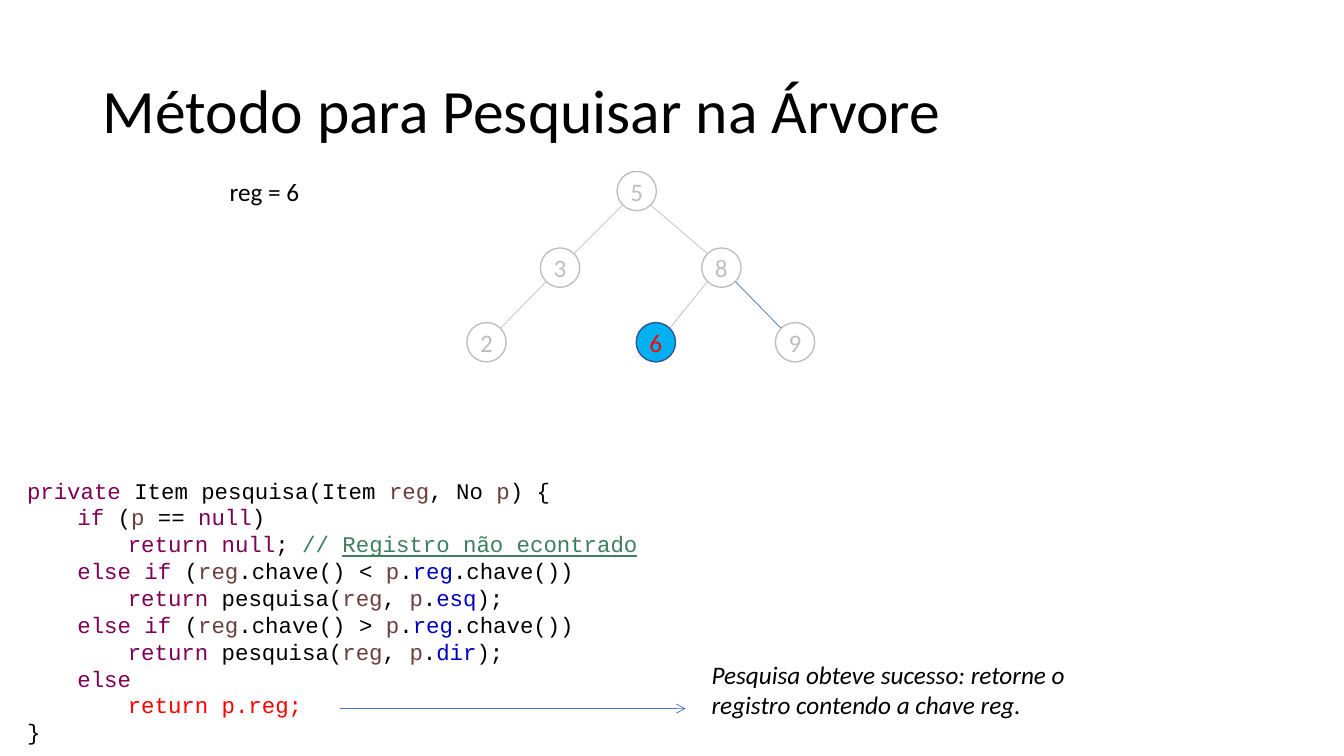
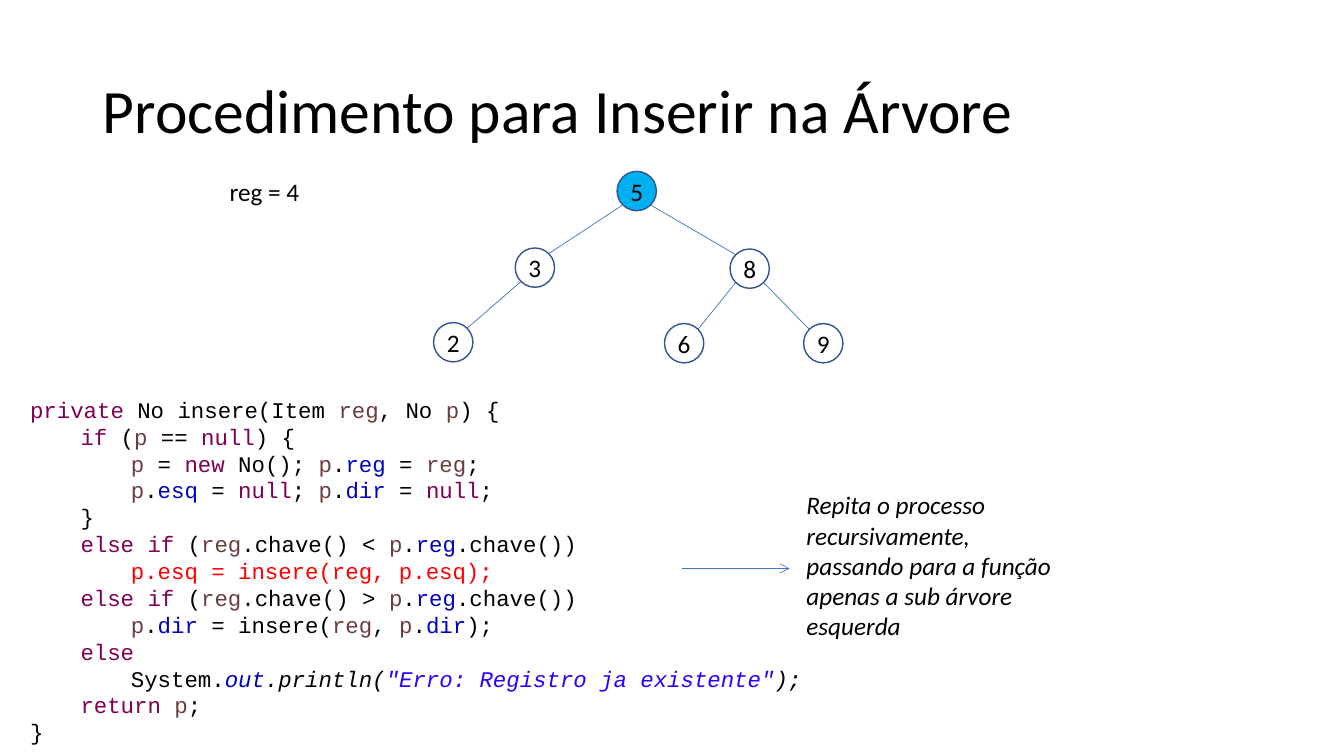
from pptx import Presentation
from pptx.dml.color import RGBColor
from pptx.enum.shapes import MSO_CONNECTOR, MSO_SHAPE
from pptx.enum.text import MSO_ANCHOR, MSO_AUTO_SIZE, PP_ALIGN
from pptx.oxml.ns import qn
from pptx.util import Inches, Pt
from lxml import etree

rgb = RGBColor.from_string

# Shared look
BLACK, GRAY, RED = "000000", "BFBFBF", "FF0000"
BLUE, OUTLINE, VISITED = "4472C4", "325491", "00B0F0"
FONT, CODE_FONT = "Calibri", "Courier New"
NODE = 0.39            # node diameter
REACH = 0.14           # from a node's centre to its diagonal point, per axis

# Code styles: colour, italic, underline
STYLES = {
    "n": (BLACK, None, None),       # plain
    "k": ("7F0055", None, None),    # keyword
    "v": ("6A3E3E", None, None),    # parameter
    "f": ("0000C0", None, None),    # field
    "c": ("3F7F5F", None, None),    # comment
    "u": ("3F7F5F", None, True),    # underlined comment
    "h": (RED, None, None),         # current line
    "F": ("0000C0", True, None),    # static field
    "N": (BLACK, True, None),       # plain after a static field
    "s": ("2A00FF", True, None),    # string
}
CASE = "k:else if|n: (|v:reg|n:.chave() {} |v:p|n:.|f:reg|n:.chave())"

# Tree: parent and child of each edge
EDGES = [(5, 8), (8, 9), (5, 3), (8, 6), (3, 2)]

SLIDES = [
    {
        "title": "Método para Pesquisar na Árvore",
        "key": "reg = 6",
        "nodes": {5: (6.12, 1.7), 3: (5.36, 2.46), 8: (6.96, 2.46),
                  9: (7.69, 3.2), 6: (6.31, 3.2), 2: (4.63, 3.2)},
        "visited": 6, "visited_text": RED,
        "node_line": GRAY, "node_text": GRAY,
        "edge": GRAY, "blue_edges": [(8, 9)],
        "arrow": (3.37, 7.03, 6.8, 7.03),
        "note": "Pesquisa obteve sucesso: retorne o registro contendo a chave reg.",
        "note_box": (6.96, 6.49, 4.04, 0.71),
        "code_box": (0.17, 4.68, 6.67, 2.86),
        "code": [
            (0, "k:private|n: Item pesquisa(Item |v:reg|n:, No |v:p|n:) {"),
            (1, "k:if|n: (|v:p|n: == |k:null|n:)"),
            (2, "k:return null|n:; |c:// |u:Registro não econtrado"),
            (1, CASE.format("<")),
            (2, "k:return|n: pesquisa(|v:reg|n:, |v:p|n:.|f:esq|n:);"),
            (1, CASE.format(">")),
            (2, "k:return|n: pesquisa(|v:reg|n:, |v:p|n:.|f:dir|n:);"),
            (1, "k:else"),
            (2, "h:return p.reg;"),
            (0, "n:}"),
        ],
    },
    {
        "title": "Procedimento para Inserir na Árvore",
        "key": "reg = 4",
        "nodes": {5: (6.12, 1.7), 3: (5.11, 2.46), 8: (7.24, 2.47),
                  9: (7.97, 3.21), 6: (6.59, 3.21), 2: (4.3, 3.2)},
        "visited": 5, "visited_text": BLACK,
        "node_line": OUTLINE, "node_text": BLACK,
        "edge": BLUE, "blue_edges": [],
        "arrow": (6.76, 5.64, 7.83, 5.64),
        "note": "Repita o processo recursivamente, passando para a função "
                "apenas a sub árvore esquerda",
        "note_box": (7.9, 4.81, 2.76, 1.62),
        "code_box": (0.2, 3.88, 8.89, 3.6),
        "code": [
            (0, "k:private|n: No insere(Item |v:reg|n:, No |v:p|n:) {"),
            (1, "k:if|n: (|v:p|n: == |k:null|n:) {"),
            (2, "v:p|n: = |k:new|n: No(); |v:p|n:.|f:reg|n: = |v:reg|n:;"),
            (2, "v:p|n:.|f:esq|n: = |k:null|n:; |v:p|n:.|f:dir|n: = |k:null|n:;"),
            (1, "n:}"),
            (1, CASE.format("<")),
            (2, "h:p.esq = insere(reg, p.esq);"),
            (1, CASE.format(">")),
            (2, "v:p|n:.|f:dir|n: = insere(|v:reg|n:, |v:p|n:.|f:dir|n:);"),
            (1, "k:else"),
            (2, 'n:System.|F:out|N:.println(|s:"Erro: Registro ja existente"|N:);'),
            (1, "k:return |v:p|n:;"),
            (0, "n:}"),
        ],
    },
]


def add_text(s, box, text, wrap=True, italic=None):
    """Add a text box in the body font and return its text frame."""
    tf = s.shapes.add_textbox(*map(Inches, box)).text_frame
    tf.word_wrap = wrap
    tf.auto_size = MSO_AUTO_SIZE.SHAPE_TO_FIT_TEXT
    p = tf.paragraphs[0]
    p.text = text
    p.font.name, p.font.size, p.font.italic = FONT, Pt(18), italic
    p.font.color.rgb = rgb(BLACK)
    return tf


def add_line(s, ends, color, arrow=False):
    """Add a thin straight line, with an arrowhead at its end if asked."""
    cx = s.shapes.add_connector(MSO_CONNECTOR.STRAIGHT, *map(Inches, ends))
    cx.line.color.rgb = rgb(color)
    cx.line.width = Pt(0.5)
    if arrow:
        etree.SubElement(cx.line._get_or_add_ln(), qn("a:tailEnd"), type="arrow")
    etree.SubElement(cx._element.spPr, qn("a:effectLst"))


prs = Presentation()
prs.slide_width, prs.slide_height = Inches(13.33), Inches(7.5)

for data in SLIDES:
    s = prs.slides.add_slide(prs.slide_layouts[5])

    # Title
    sp = s.shapes.title
    sp.left, sp.top, sp.width, sp.height = map(Inches, (0.92, 0.4, 11.5, 1.45))
    tf = sp.text_frame
    tf.text = data["title"]
    tf.vertical_anchor = MSO_ANCHOR.MIDDLE
    tf.auto_size = MSO_AUTO_SIZE.NONE
    p = tf.paragraphs[0]
    p.alignment, p.line_spacing = PP_ALIGN.LEFT, 0.9
    p.font.name, p.font.size = FONT, Pt(44)
    p.font.color.rgb = rgb(BLACK)

    # Tree nodes
    for value, (x, y) in data["nodes"].items():
        visited = value == data["visited"]
        sp = s.shapes.add_shape(MSO_SHAPE.OVAL, *map(Inches, (x, y, NODE, NODE)))
        sp.shadow.inherit = False
        if visited:
            sp.fill.solid()
            sp.fill.fore_color.rgb = rgb(VISITED)
        else:
            sp.fill.background()
        sp.line.color.rgb = rgb(OUTLINE if visited else data["node_line"])
        sp.line.width = Pt(1)
        tf = sp.text_frame
        tf.word_wrap = False
        tf.margin_left = tf.margin_right = tf.margin_top = tf.margin_bottom = 0
        tf.vertical_anchor = MSO_ANCHOR.MIDDLE
        p = tf.paragraphs[0]
        p.text = str(value)
        p.alignment = PP_ALIGN.CENTER
        p.font.name, p.font.size = FONT, Pt(18)
        p.font.color.rgb = rgb(data["visited_text" if visited else "node_text"])

    # Tree edges, from the parent's lower diagonal to the child's upper one
    for parent, child in EDGES:
        (x1, y1), (x2, y2) = ((x + NODE / 2, y + NODE / 2) for x, y in
                              (data["nodes"][parent], data["nodes"][child]))
        dx = REACH if x2 > x1 else -REACH
        color = BLUE if (parent, child) in data["blue_edges"] else data["edge"]
        add_line(s, (x1 + dx, y1 + REACH, x2 - dx, y2 - REACH), color)

    # Searched key, arrow and note
    add_text(s, (2.18, 1.7, 0.9, 0.4), data["key"], wrap=False)
    add_line(s, data["arrow"], BLUE, arrow=True)
    add_text(s, data["note_box"], data["note"], italic=True)

    # Code
    tf = add_text(s, data["code_box"], "")
    for i, (level, line) in enumerate(data["code"]):
        p = tf.add_paragraph() if i else tf.paragraphs[0]
        p.level = level
        pPr = p._p.get_or_add_pPr()
        pPr.set("marL", str(Inches(0.5 * level)))
        pPr.set("indent", "0")
        p.font.name, p.font.size = CODE_FONT, Pt(16)
        for piece in line.split("|"):
            style, _, text = piece.partition(":")
            color, italic, underline = STYLES[style]
            r = p.add_run()
            r.text = text
            r.font.color.rgb = rgb(color)
            r.font.italic, r.font.underline = italic, underline

prs.save("out.pptx")
